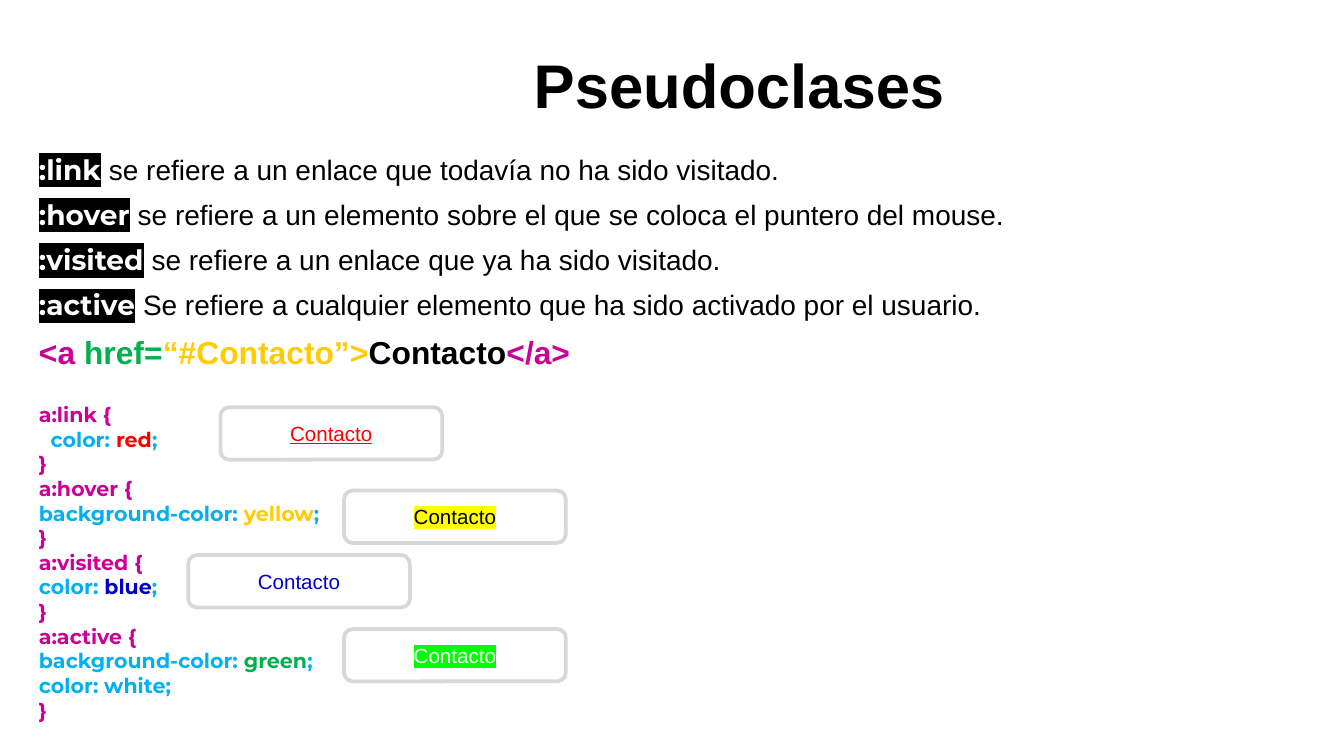
"""Build the slide that explains the CSS link pseudo-classes."""
from lxml.etree import SubElement
from pptx import Presentation
from pptx.dml.color import RGBColor
from pptx.enum.shapes import MSO_SHAPE
from pptx.enum.text import MSO_ANCHOR, PP_ALIGN
from pptx.oxml.ns import qn
from pptx.util import Inches, Pt

BLACK = RGBColor(0x00, 0x00, 0x00)
WHITE = RGBColor(0xFF, 0xFF, 0xFF)
GREY = RGBColor(0xD8, 0xD8, 0xD8)
MAGENTA = RGBColor(0xCC, 0x00, 0x99)
GREEN = RGBColor(0x00, 0xB0, 0x50)
GOLD = RGBColor(0xFF, 0xCC, 0x00)
CYAN = RGBColor(0x00, 0xB0, 0xF0)
RED = RGBColor(0xFF, 0x00, 0x00)
BLUE = RGBColor(0x00, 0x00, 0xCC)
YELLOW = RGBColor(0xFF, 0xFF, 0x00)
LIME = RGBColor(0x00, 0xFF, 0x00)
BODY_FONT, CODE_FONT = "Arial", "Montserrat"
SLIDE_WIDTH = Inches(10)
SLIDE_HEIGHT = SLIDE_WIDTH * 9 // 16

TITLE = "Pseudoclases"
DEFINITIONS = [
    (":link", "se refiere a un enlace que todavía no ha sido visitado."),
    (":hover", "se refiere a un elemento sobre el que se coloca el puntero del mouse."),
    (":visited", "se refiere a un enlace que ya ha sido visitado."),
    (":active", "Se refiere a cualquier elemento que ha sido activado por el usuario."),
]
ANCHOR_TAG = [
    ("<a ", MAGENTA),
    ("href=", GREEN),
    ("“#Contacto”>", GOLD),
    ("Contacto", BLACK),
    ("</a>", MAGENTA),
]
RULES = [
    ("a:link {", [[("  color: ", CYAN), ("red", RED), (";", CYAN)]]),
    ("a:hover {", [[("background-color: ", CYAN), ("yellow", GOLD), (";", CYAN)]]),
    ("a:visited {", [[("color: ", CYAN), ("blue", BLUE), (";", CYAN)]]),
    ("a:active {", [[("background-color: ", CYAN), ("green", GREEN), (";", CYAN)],
                    [("color: white;", CYAN)]]),
]
BUTTON_TEXT = "Contacto"
BUTTONS = [
    (1.64, 3.03, {"color": RED, "underline": True}),
    (2.56, 3.65, {"color": BLACK, "highlight": YELLOW}),
    (1.40, 4.13, {"color": BLUE}),
    (2.56, 4.68, {"color": WHITE, "highlight": LIME}),
]


def add_run(paragraph, text, size, color, font=BODY_FONT, bold=False,
            underline=None, highlight=None):
    run = paragraph.add_run()
    run.text = text
    run.font.size = Pt(size)
    run.font.name = font
    run.font.bold = bold
    run.font.underline = underline
    run.font.color.rgb = color
    if highlight is not None:
        properties = run.font._element
        mark = SubElement(properties, qn("a:highlight"))
        SubElement(mark, qn("a:srgbClr")).set("val", str(highlight))
        properties.find(qn("a:solidFill")).addnext(mark)


def prepare_frame(shape, anchor=MSO_ANCHOR.TOP):
    frame = shape.text_frame
    frame.word_wrap = True
    frame.vertical_anchor = anchor
    frame.margin_left = frame.margin_right = Inches(0.07)
    frame.margin_top = frame.margin_bottom = Inches(0.04)
    return frame


def add_text_box(slide, left, top, width, height):
    box = slide.shapes.add_textbox(Inches(left), Inches(top), Inches(width), Inches(height))
    return prepare_frame(box)


def next_paragraph(frame):
    first = frame.paragraphs[0]
    return frame.add_paragraph() if first.runs else first


def add_title(slide):
    title = slide.shapes.title
    title.left, title.top = Inches(0.5), Inches(0.31)
    title.width, title.height = Inches(10), Inches(0.63)
    paragraph = prepare_frame(title).paragraphs[0]
    paragraph.alignment = PP_ALIGN.CENTER
    add_run(paragraph, TITLE, 33, BLACK, bold=True)


def add_definitions(slide):
    frame = add_text_box(slide, 0.22, 1.12, 9.78, 4.51)
    for name, meaning in DEFINITIONS:
        paragraph = next_paragraph(frame)
        add_run(paragraph, name, 15, WHITE, CODE_FONT, bold=True, highlight=BLACK)
        add_run(paragraph, " ", 15, WHITE, CODE_FONT, bold=True)
        add_run(paragraph, meaning, 15, BLACK)
    paragraph = next_paragraph(frame)
    for text, color in ANCHOR_TAG:
        add_run(paragraph, text, 17, color, bold=True)
    for index, paragraph in enumerate(frame.paragraphs):
        paragraph.line_spacing = 0.9
        paragraph.space_before = Pt(8 if index else 0)


def add_code(slide):
    frame = add_text_box(slide, 0.22, 2.95, 2.84, 2.92)
    for selector, declarations in RULES:
        for line in [[(selector, MAGENTA)], *declarations, [("}", MAGENTA)]]:
            paragraph = next_paragraph(frame)
            for text, color in line:
                add_run(paragraph, text, 11, color, CODE_FONT, bold=True)


def add_button(slide, left, top, style):
    button = slide.shapes.add_shape(MSO_SHAPE.ROUNDED_RECTANGLE, Inches(left), Inches(top),
                                    Inches(1.65), Inches(0.39))
    button.shadow.inherit = False
    button.fill.solid()
    button.fill.fore_color.rgb = WHITE
    button.line.color.rgb = GREY
    button.line.width = Pt(2)
    paragraph = prepare_frame(button, MSO_ANCHOR.MIDDLE).paragraphs[0]
    paragraph.alignment = PP_ALIGN.CENTER
    add_run(paragraph, BUTTON_TEXT, 11, **style)


def main():
    presentation = Presentation()
    presentation.slide_width, presentation.slide_height = SLIDE_WIDTH, SLIDE_HEIGHT
    slide = presentation.slides.add_slide(presentation.slide_layouts[5])
    add_title(slide)
    add_definitions(slide)
    add_code(slide)
    for left, top, style in BUTTONS:
        add_button(slide, left, top, style)
    presentation.save("out.pptx")


if __name__ == "__main__":
    main()
